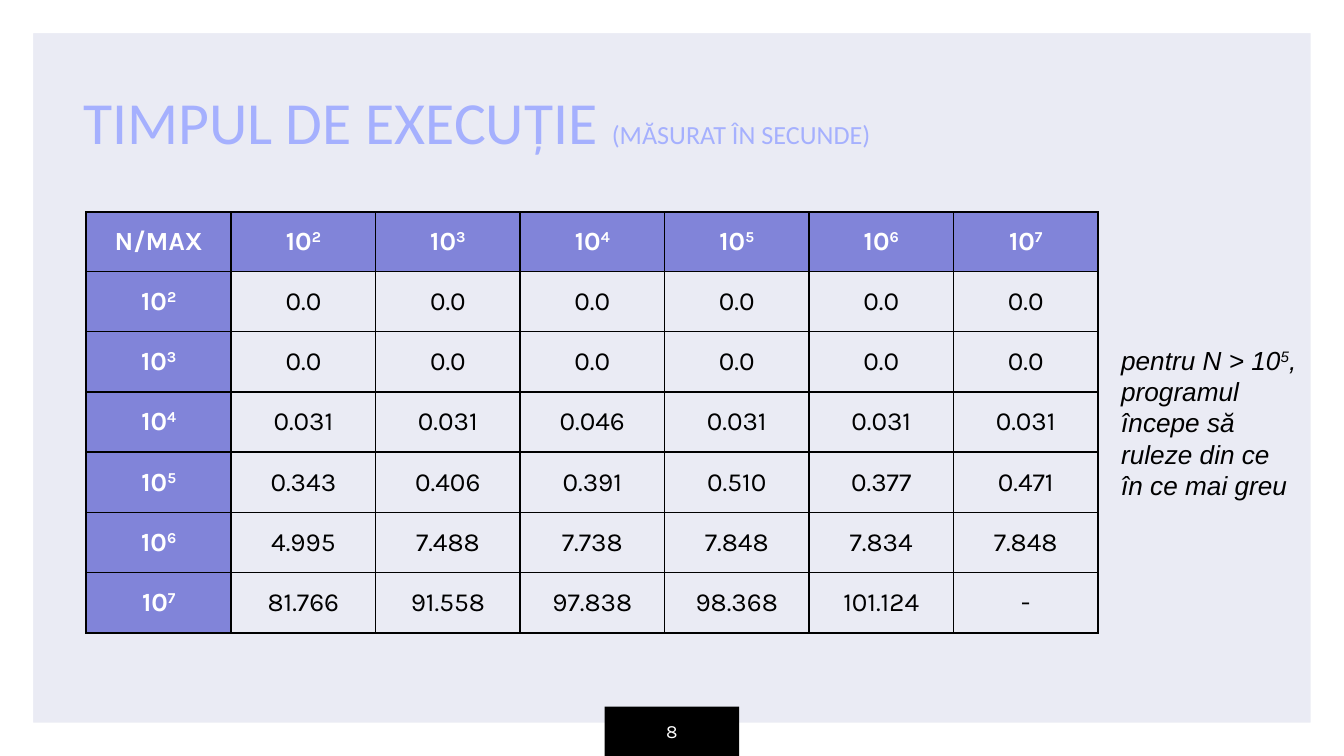
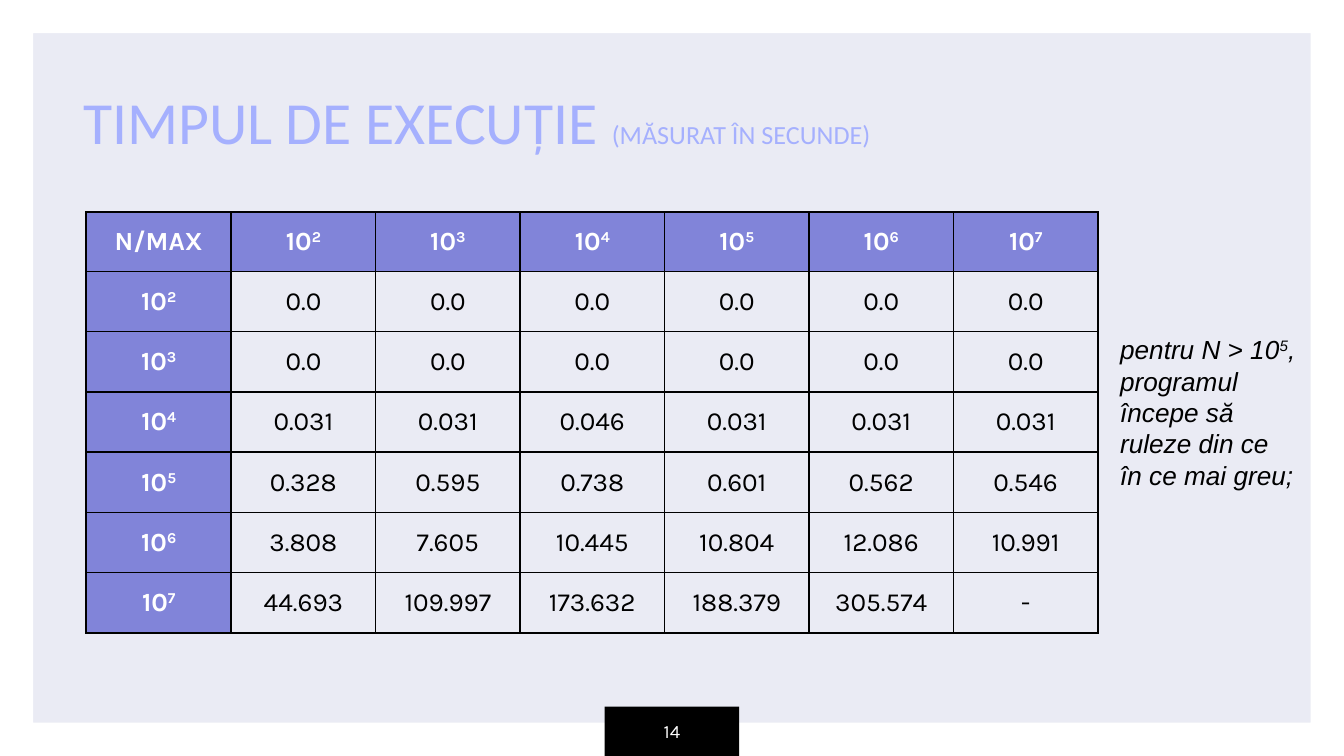
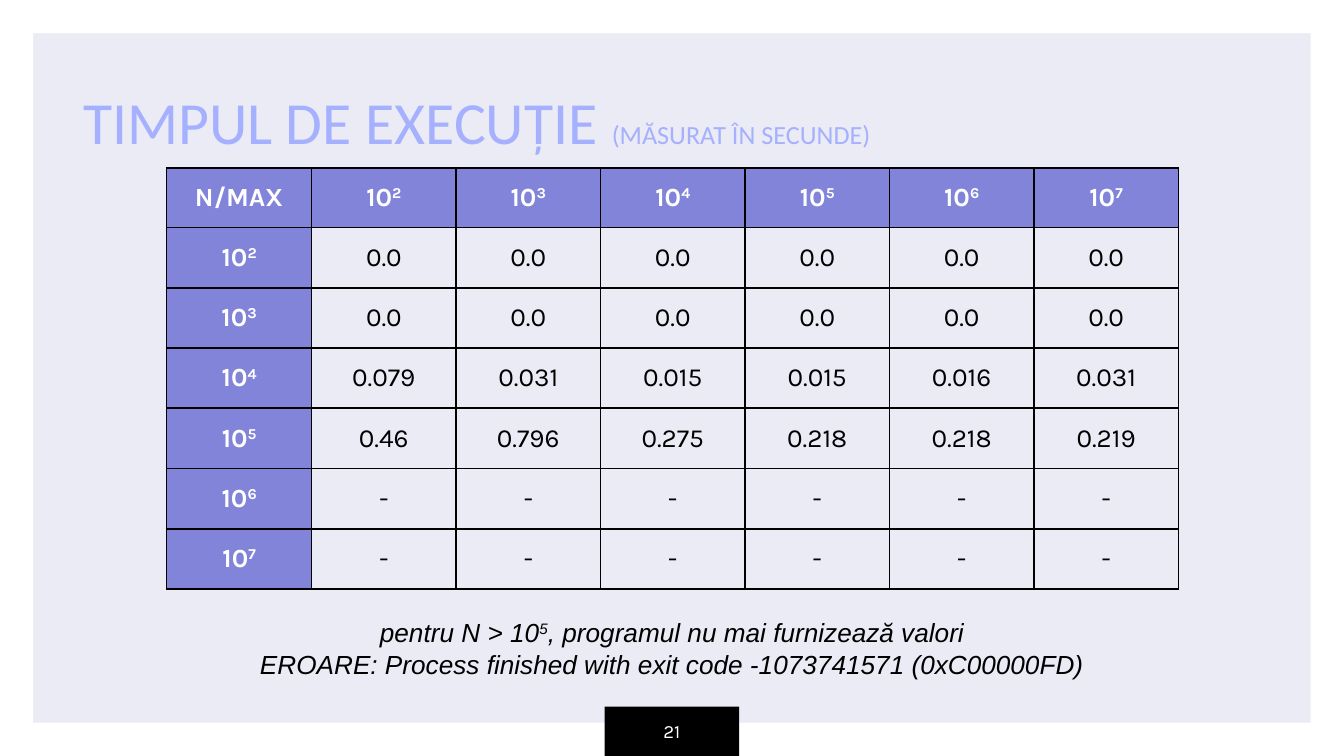
"""Build three slides of execution time tables, one for each program measured."""
import lxml.etree
import pptx
import pptx.dml.color
import pptx.enum.shapes
import pptx.enum.text
import pptx.oxml.ns
import pptx.util

Cm = pptx.util.Cm
Pt = pptx.util.Pt
RGBColor = pptx.dml.color.RGBColor
PP_ALIGN = pptx.enum.text.PP_ALIGN
MSO_ANCHOR = pptx.enum.text.MSO_ANCHOR
MSO_SHAPE = pptx.enum.shapes.MSO_SHAPE
qn = pptx.oxml.ns.qn

LAVENDER = RGBColor(0xEA, 0xEB, 0xF4)
PERIWINKLE = RGBColor(0xA5, 0xB0, 0xFE)
VIOLET = RGBColor(0x81, 0x84, 0xD9)
WHITE = RGBColor(0xFF, 0xFF, 0xFF)
BLACK = RGBColor(0x00, 0x00, 0x00)

POWERS = ["10^2", "10^3", "10^4", "10^5", "10^6", "10^7"]
ZEROS = ["0.0"] * 6
DASHES = ["-"] * 6
SIDE_NOTE = "pentru N > 10^5^, programul începe să ruleze din ce în ce mai greu"

SLIDES = [
    {
        "number": "8",
        "table_at": (1.63, 4.01),
        "times": [
            ZEROS,
            ZEROS,
            ["0.031", "0.031", "0.046", "0.031", "0.031", "0.031"],
            ["0.343", "0.406", "0.391", "0.510", "0.377", "0.471"],
            ["4.995", "7.488", "7.738", "7.848", "7.834", "7.848"],
            ["81.766", "91.558", "97.838", "98.368", "101.124", "-"],
        ],
        "note_at": (20.94, 6.38, 3.84, 3.25),
        "note": [SIDE_NOTE],
        "note_alignment": PP_ALIGN.LEFT,
    },
    {
        "number": "14",
        "table_at": (1.63, 4.01),
        "times": [
            ZEROS,
            ZEROS,
            ["0.031", "0.031", "0.046", "0.031", "0.031", "0.031"],
            ["0.328", "0.595", "0.738", "0.601", "0.562", "0.546"],
            ["3.808", "7.605", "10.445", "10.804", "12.086", "10.991"],
            ["44.693", "109.997", "173.632", "188.379", "305.574", "-"],
        ],
        "note_at": (20.92, 6.18, 3.84, 3.25),
        "note": [SIDE_NOTE + ";"],
        "note_alignment": PP_ALIGN.LEFT,
    },
    {
        "number": "21",
        "table_at": (3.15, 3.18),
        "times": [
            ZEROS,
            ZEROS,
            ["0.079", "0.031", "0.015", "0.015", "0.016", "0.031"],
            ["0.46", "0.796", "0.275", "0.218", "0.218", "0.219"],
            DASHES,
            DASHES,
        ],
        "note_at": (0.97, 11.53, 23.47, 1.45),
        "note": [
            "pentru N > 10^5^, programul nu mai furnizează valori",
            "EROARE: Process finished with exit code -1073741571 (0xC00000FD)",
        ],
        "note_alignment": PP_ALIGN.CENTER,
    },
]


def write(paragraph, text, font_name, size, color, alignment=PP_ALIGN.CENTER):
    """Fill a paragraph, raising the parts of the text enclosed by carets."""
    paragraph.alignment = alignment
    paragraph.font.name = font_name
    paragraph.font.size = Pt(size)
    paragraph.font.color.rgb = color
    for index, part in enumerate(text.split("^")):
        run = paragraph.add_run()
        run.text = part
        if index % 2:
            run._r.get_or_add_rPr().set("baseline", "30000")


def add_borders(cell):
    """Draw a thin black line on each side of a table cell."""
    properties = cell._tc.get_or_add_tcPr()
    for side in ("a:lnL", "a:lnR", "a:lnT", "a:lnB"):
        line = lxml.etree.SubElement(properties, qn(side), w=str(Pt(1)))
        fill = lxml.etree.SubElement(line, qn("a:solidFill"))
        lxml.etree.SubElement(fill, qn("a:srgbClr"), val=str(BLACK))


presentation = pptx.Presentation()
presentation.slide_width = Cm(25.4)
presentation.slide_height = Cm(14.29)
background = presentation.slide_master.background.fill
background.solid()
background.fore_color.rgb = LAVENDER

for content in SLIDES:
    slide = presentation.slides.add_slide(presentation.slide_layouts[6])

    frame = slide.shapes.add_shape(
        MSO_SHAPE.FRAME, 0, 0, presentation.slide_width, presentation.slide_height
    )
    frame.adjustments[0] = 0.044
    number_band = slide.shapes.add_shape(
        MSO_SHAPE.RECTANGLE, Cm(11.43), Cm(13.36), Cm(2.54), Cm(0.93)
    )
    for shape, color in ((frame, WHITE), (number_band, BLACK)):
        shape.shadow.inherit = False
        shape.fill.solid()
        shape.fill.fore_color.rgb = color
        shape.line.fill.background()
    number_band.text_frame.vertical_anchor = MSO_ANCHOR.MIDDLE
    write(number_band.text_frame.paragraphs[0], content["number"], "Karla", 10, WHITE)

    title = slide.shapes.add_textbox(Cm(1.32), Cm(0.81), Cm(17.45), Cm(2.39))
    title_frame = title.text_frame
    title_frame.word_wrap = True
    title_frame.vertical_anchor = MSO_ANCHOR.BOTTOM
    title_frame.margin_top = title_frame.margin_bottom = Cm(0.25)
    title_paragraph = title_frame.paragraphs[0]
    write(title_paragraph, "TIMPUL DE EXECUȚIE ", "Calibri", 32, PERIWINKLE, PP_ALIGN.LEFT)
    unit = title_paragraph.add_run()
    unit.text = "(MĂSURAT ÎN SECUNDE)"
    unit.font.size = Pt(14)

    rows = [["N/MAX"] + POWERS]
    rows += [[power] + times for power, times in zip(POWERS, content["times"])]
    left, top = content["table_at"]
    table = slide.shapes.add_table(
        len(rows), len(rows[0]), Cm(left), Cm(top), Cm(19.12), Cm(7.96)
    ).table
    table.first_row = False
    table.horz_banding = False
    for index, column in enumerate(table.columns):
        column.width = Cm(2.73 if index else 2.74)
    for row_index, values in enumerate(rows):
        table.rows[row_index].height = Cm(1.14 if row_index else 1.12)
        for column_index, value in enumerate(values):
            is_header = row_index == 0 or column_index == 0
            cell = table.cell(row_index, column_index)
            cell.vertical_anchor = MSO_ANCHOR.MIDDLE
            add_borders(cell)
            if is_header:
                cell.fill.solid()
                cell.fill.fore_color.rgb = VIOLET
            else:
                cell.fill.background()
            paragraph = cell.text_frame.paragraphs[0]
            write(paragraph, value, "Karla", 14, WHITE if is_header else BLACK)
            paragraph.font.bold = is_header

    note = slide.shapes.add_textbox(*[Cm(length) for length in content["note_at"]])
    note.text_frame.word_wrap = True
    note.text_frame.auto_size = pptx.enum.text.MSO_AUTO_SIZE.SHAPE_TO_FIT_TEXT
    for index, text in enumerate(content["note"]):
        paragraph = note.text_frame.add_paragraph() if index else note.text_frame.paragraphs[0]
        write(paragraph, text, "Arial", 14, BLACK, content["note_alignment"])
        paragraph.font.italic = True

presentation.save("out.pptx")
